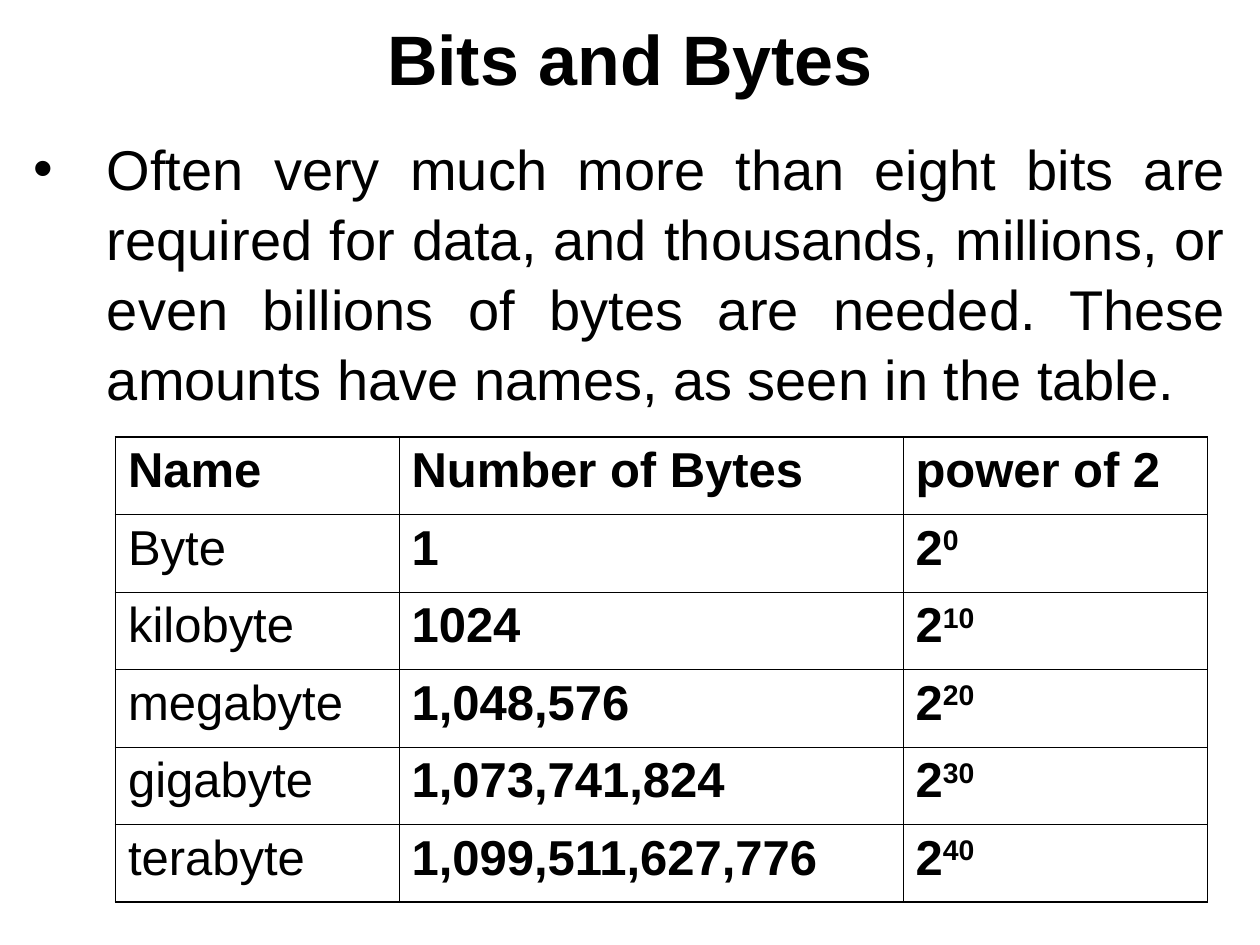
from pptx import Presentation
from pptx.dml.color import RGBColor
from pptx.enum import text
from pptx.oxml import ns
from pptx.util import Pt
from lxml import etree

BLACK = RGBColor(0, 0, 0)
WHITE = RGBColor(255, 255, 255)
FONT = "Arial"
OUTER_LINE, INNER_LINE = 1.08, 0.45
COLUMN_WIDTHS = (162, 288, 174)
HEADINGS = ("Name", "Number of Bytes", "power of 2")
UNITS = (
    ("Byte", "1", "0"),
    ("kilobyte", "1024", "10"),
    ("megabyte", "1,048,576", "20"),
    ("gigabyte", "1,073,741,824", "30"),
    ("terabyte", "1,099,511,627,776", "40"),
)
EXPLANATION = (
    "Often very much more than eight bits are required for data, and thousands, "
    "millions, or even billions of bytes are needed. These amounts have names, "
    "as seen in the table."
)


def add_run(paragraph, wording, size, bold=False):
    run = paragraph.add_run()
    run.text = wording
    run.font.name = FONT
    run.font.size = Pt(size)
    run.font.bold = bold
    run.font.color.rgb = BLACK
    return run


def add_text_box(slide, left, top, width, height):
    shape = slide.shapes.add_textbox(Pt(left), Pt(top), Pt(width), Pt(height))
    shape.text_frame.word_wrap = True
    return shape.text_frame


def add_title(slide, left, top, width, height):
    frame = add_text_box(slide, left, top, width, height)
    frame.vertical_anchor = text.MSO_ANCHOR.MIDDLE
    paragraph = frame.paragraphs[0]
    paragraph.alignment = text.PP_ALIGN.CENTER
    add_run(paragraph, "Bits and Bytes", 40, bold=True)


def add_explanation(slide, left, top, width, height):
    paragraph = add_text_box(slide, left, top, width, height).paragraphs[0]
    paragraph.alignment = text.PP_ALIGN.JUSTIFY
    paragraph.line_spacing = 1.04
    # Hanging bullet
    properties = paragraph._p.get_or_add_pPr()
    properties.set("marL", str(Pt(42)))
    properties.set("indent", str(-Pt(42)))
    etree.SubElement(properties, ns.qn("a:buFont"), typeface=FONT)
    etree.SubElement(properties, ns.qn("a:buChar"), char="•")
    add_run(paragraph, EXPLANATION, 32)


def set_borders(cell, widths):
    """Draw the left, right, top and bottom lines of a cell."""
    properties = cell._tc.get_or_add_tcPr()
    for side, width in zip("LRTB", widths):
        line = etree.SubElement(properties, ns.qn(f"a:ln{side}"), w=str(Pt(width)))
        fill = etree.SubElement(line, ns.qn("a:solidFill"))
        etree.SubElement(fill, ns.qn("a:srgbClr"), val=str(BLACK))


def add_unit_table(slide, left, top, width, height):
    row_count, column_count = len(UNITS) + 1, len(HEADINGS)
    table = slide.shapes.add_table(
        row_count, column_count, Pt(left), Pt(top), Pt(width), Pt(height)
    ).table
    table.first_row = table.horz_banding = False
    for column, column_width in zip(table.columns, COLUMN_WIDTHS):
        column.width = Pt(column_width)

    for row, values in enumerate((HEADINGS, *UNITS)):
        for column, value in enumerate(values):
            cell = table.cell(row, column)
            edges = (column == 0, column == column_count - 1,
                     row == 0, row == row_count - 1)
            set_borders(cell, [OUTER_LINE if edge else INNER_LINE for edge in edges])
            cell.fill.solid()
            cell.fill.fore_color.rgb = WHITE
            paragraph = cell.text_frame.paragraphs[0]
            if row > 0 and column == 2:
                # Power of two with a raised exponent
                add_run(paragraph, "2", 28, bold=True)
                exponent = add_run(paragraph, value, 28, bold=True)
                exponent._r.get_or_add_rPr().set("baseline", "30000")
            else:
                add_run(paragraph, value, 28, bold=row == 0 or column > 0)


def main():
    presentation = Presentation()
    presentation.slide_width, presentation.slide_height = Pt(720), Pt(540)
    slide = presentation.slides.add_slide(presentation.slide_layouts[6])
    slide.background.fill.solid()
    slide.background.fill.fore_color.rgb = WHITE
    add_title(slide, 36, 0, 648, 66)
    add_explanation(slide, 12, 72, 696, 450)
    add_unit_table(slide, 66, 249.75, sum(COLUMN_WIDTHS), 266)
    presentation.save("out.pptx")


if __name__ == "__main__":
    main()
